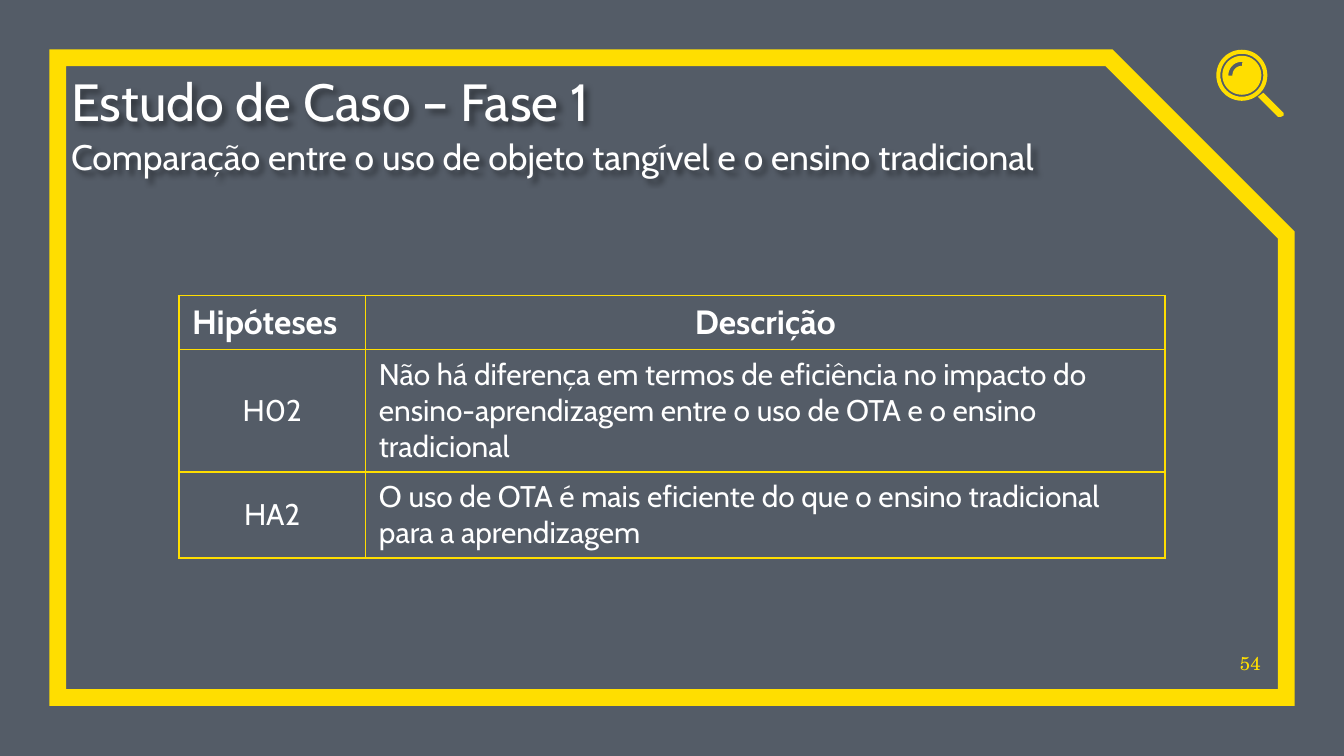
from math import cos, radians, sin

from lxml import etree
from pptx import Presentation
from pptx.dml.color import RGBColor
from pptx.enum.shapes import MSO_SHAPE
from pptx.enum.text import MSO_ANCHOR, PP_ALIGN
from pptx.oxml import parse_xml
from pptx.oxml.ns import nsdecls, qn
from pptx.util import Inches, Pt

RECT, SNIP = MSO_SHAPE.RECTANGLE, MSO_SHAPE.SNIP_1_RECTANGLE
LEFT, MID, RIGHT = PP_ALIGN.LEFT, PP_ALIGN.CENTER, PP_ALIGN.RIGHT
BASE, CENTER = MSO_ANCHOR.BOTTOM, MSO_ANCHOR.MIDDLE

NAVY = RGBColor(0x04, 0x0F, 0x20)
GOLD = RGBColor(0xFF, 0xDE, 0x00)
WHITE = RGBColor(0xFF, 0xFF, 0xFF)

SANS = "Cabin"
SERIF = "TeX Gyre Schola"
COLS, ROWS = 100, 56.25
CELL = Inches(0.1)

SHADOW = (
    f'<a:effectLst {nsdecls("a")}><a:outerShdw blurRad="38100" dist="38100" dir="2700000">'
    '<a:srgbClr val="000000"><a:alpha val="43000"/></a:srgbClr></a:outerShdw></a:effectLst>'
)
BORDER = (
    '<a:{side} {ns} w="12700"><a:solidFill><a:srgbClr val="{color}"/></a:solidFill></a:{side}>'
)


def grid(*sizes):
    return [round(size * CELL) for size in sizes]


def arc(x, y, radius, start=0, end=360, steps=48):
    turns = [radians(start + (end - start) * i / steps) for i in range(steps + 1)]
    return [(x + radius * cos(t), y + radius * sin(t)) for t in turns]


class Deck:
    def __init__(self):
        self.file = Presentation()
        self.file.slide_width, self.file.slide_height = grid(COLS, ROWS)
        self.slide = self.file.slides.add_slide(self.file.slide_layouts[6])
        self.shapes = self.slide.shapes

    def style(self, para, size, align=LEFT, color=WHITE, font=SANS, bold=False):
        para.alignment = align
        for run in para.runs:
            run.font.size = Pt(size)
            run.font.name = font
            run.font.bold = bold
            run.font.color.rgb = color

    def veil(self, color, alpha):
        shape = self.shapes.add_shape(RECT, *grid(0, 0, COLS, ROWS))
        shape.shadow.inherit = False
        shape.fill.solid()
        shape.fill.fore_color.rgb = color
        shape.line.fill.background()
        tint = shape.fill._xPr.find(".//" + qn("a:srgbClr"))
        etree.SubElement(tint, qn("a:alpha")).set("val", str(alpha * 1000))

    def frame(self, box, snip, width):
        shape = self.shapes.add_shape(SNIP, *grid(*box))
        shape.adjustments[0] = snip
        shape.shadow.inherit = False
        shape.fill.background()
        shape.line.color.rgb = GOLD
        shape.line.width = Pt(width)
        etree.SubElement(shape.line._ln, qn("a:miter")).set("lim", "800000")

    def text(self, words, box, size, shade=False, **look):
        shape = self.shapes.add_textbox(*grid(*box))
        frame = shape.text_frame
        frame.word_wrap = True
        frame.vertical_anchor = BASE
        frame.margin_left = frame.margin_right = 0
        frame.margin_top = frame.margin_bottom = 0
        frame.text = words
        self.style(frame.paragraphs[0], size, **look)
        if shade:
            shape._element.spPr.append(parse_xml(SHADOW))

    def shape(self, *rings):
        first, *rest = [[grid(*point) for point in ring] for ring in rings]
        pen = self.shapes.build_freeform(*first[0])
        pen.add_line_segments(first[1:])
        for ring in rest:
            pen.move_to(*ring[0])
            pen.add_line_segments(ring[1:])
        shape = pen.convert_to_shape()
        shape.shadow.inherit = False
        shape.fill.solid()
        shape.fill.fore_color.rgb = GOLD
        shape.line.fill.background()

    def lens(self, x, y):
        self.shape(arc(x, y, 1.9), arc(x, y, 1.6, 360, 0))
        glint = arc(x, y, 1, 178, 272) + arc(x, y, 0.7, 272, 178)
        self.shape(arc(x, y, 1.45), glint[::-1])
        edge = [(1.6, 1.3), (3.1, 2.8), (3.1, 3), (2.9, 3.1), (2.7, 3.1), (1.2, 1.6)]
        self.shape([(x + dx, y + dy) for dx, dy in edge])

    def table(self, data, left, top, widths, heights):
        box = grid(left, top, sum(widths), sum(heights))
        table = self.shapes.add_table(len(data), len(widths), *box).table
        table.first_row = table.horz_banding = False
        for col, width in zip(table.columns, grid(*widths)):
            col.width = width
        for row, height in zip(table.rows, grid(*heights)):
            row.height = height
        for i, line in enumerate(data):
            for j, words in enumerate(line):
                cell = table.cell(i, j)
                cell.text = words
                cell.vertical_anchor = CENTER
                head = i == 0
                align = MID if head == (j == 1) else LEFT
                self.style(cell.text_frame.paragraphs[0], 18 if head else 16, align, bold=head)
                for side in ("lnL", "lnR", "lnT", "lnB"):
                    edge = BORDER.format(side=side, ns=nsdecls("a"), color=GOLD)
                    cell._tc.get_or_add_tcPr().append(parse_xml(edge))
                cell.fill.background()


def main():
    deck = Deck()
    deck.veil(NAVY, 68)
    deck.frame((4.3, 4.3, 91.4, 47.6), 0.277, 9)
    deck.text("54", (91.1, 47.4, 2.7, 2.8), 10, align=RIGHT, color=GOLD, font=SERIF)
    deck.text("Estudo de Caso – Fase 1", (5.3, 4.5, 73.5, 5.3), 28, shade=True)
    deck.lens(92.4, 5.6)
    deck.text(
        "Comparação entre o uso de objeto tangível e o ensino tradicional",
        (5.3, 7.8, 86.7, 5.4), 19, shade=True,
    )
    data = [
        ("Hipóteses", "Descrição"),
        ("H02", "Não há diferença em termos de eficiência no impacto do "
                "ensino-aprendizagem entre o uso de OTA e o ensino tradicional"),
        ("HA2", "O uso de OTA é mais eficiente do que o ensino tradicional "
                "para a aprendizagem"),
    ]
    deck.table(data, 13.3, 22, (13.9, 59.5), (4, 9.1, 6.4))
    deck.file.save("out.pptx")


if __name__ == "__main__":
    main()
